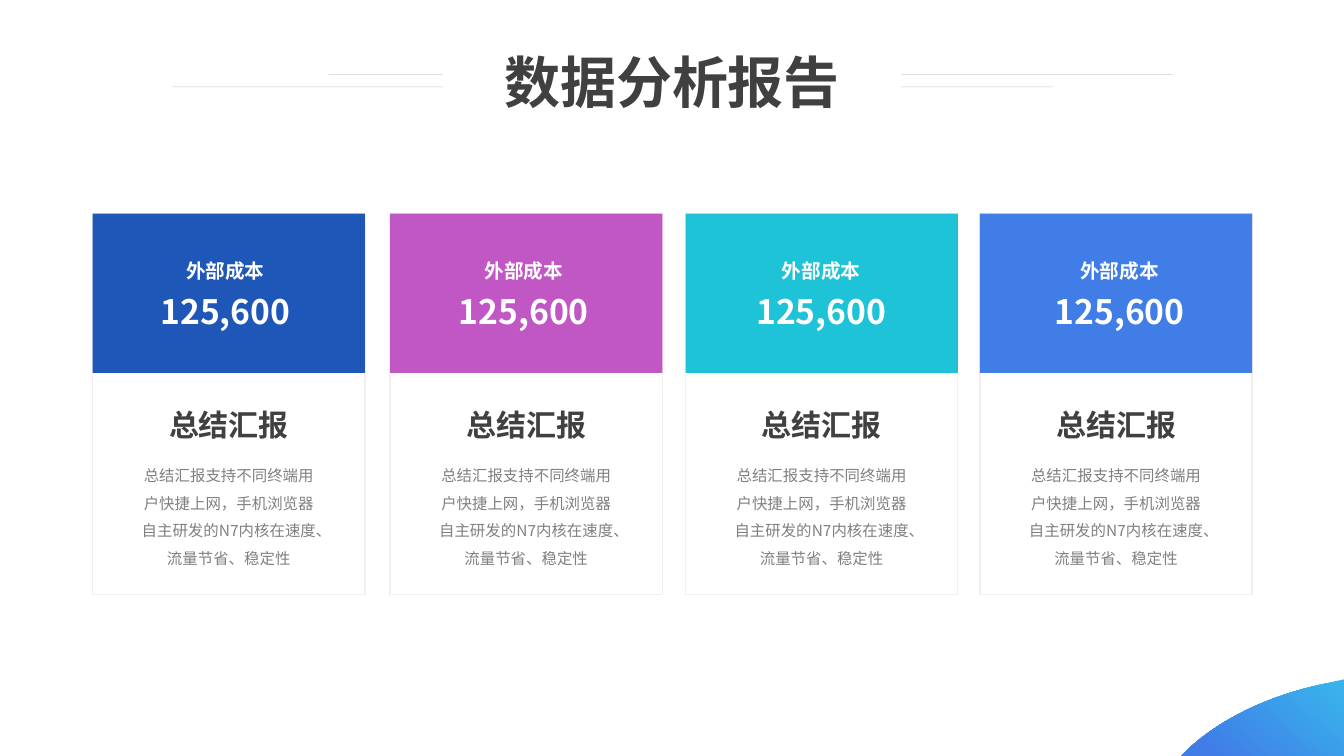
"""Builds a data analysis slide with four cost cards."""
from dataclasses import dataclass, field

from lxml.etree import SubElement
from pptx import Presentation
from pptx.dml.color import RGBColor
from pptx.enum.shapes import MSO_CONNECTOR, MSO_SHAPE
from pptx.enum.text import MSO_AUTO_SIZE as AutoSize, PP_ALIGN
from pptx.oxml.ns import qn
from pptx.slide import Slide
from pptx.util import Inches, Pt

FONT = "Noto Sans CJK SC"
BODY = "总结汇报支持不同终端用户快捷上网，手机浏览器自主研发的N7内核在速度、流量节省、稳定性"


@dataclass
class Label:
    """Text with its place and its format."""
    text: str
    left: float
    top: float
    width: float
    height: float
    size: float
    color: str
    bold: bool = True
    spacing: float = 1.0
    frame: dict = field(default_factory=dict)


@dataclass
class Card:
    """Left edge, header colour and header text centre of a card."""
    left: float
    color: str
    header_center: float


@dataclass
class Rule:
    """Horizontal line beside the heading."""
    start: float
    end: float
    top: float


CARDS = [
    Card(0.92, "1F57B8", 2.23),
    Card(3.87, "C157C5", 5.19),
    Card(6.8, "1EC3D7", 8.14),
    Card(9.72, "407DE7", 11.1),
]
RULES = [
    Rule(4.39, 3.26, 0.74),
    Rule(4.39, 1.71, 0.86),
    Rule(11.63, 8.94, 0.74),
    Rule(10.44, 8.94, 0.86),
]


def rgb(value: str) -> RGBColor:
    """Turn a hex string into a colour."""
    return RGBColor.from_string(value)


def set_format(target: object, values: dict) -> None:
    """Set each attribute named in a dict."""
    for name, value in values.items():
        setattr(target, name, value)


def add_label(slide: Slide, label: Label) -> None:
    """Draw a centred text box."""
    box = slide.shapes.add_textbox(*map(Inches, (label.left, label.top, label.width, label.height)))
    set_format(box.text_frame, {"word_wrap": True, "auto_size": AutoSize.SHAPE_TO_FIT_TEXT, **label.frame})
    paragraph = box.text_frame.paragraphs[0]
    set_format(paragraph, {"alignment": PP_ALIGN.CENTER, "line_spacing": label.spacing})
    run = paragraph.add_run()
    run.text = label.text
    set_format(run.font, {"name": FONT, "size": Pt(label.size), "bold": label.bold})
    run.font.color.rgb = rgb(label.color)
    SubElement(run.font._element, qn("a:ea"), typeface=FONT)


def add_panel(slide: Slide, left: float, height: float, fill: str, line: str = "") -> None:
    """Draw a card rectangle."""
    panel = slide.shapes.add_shape(MSO_SHAPE.RECTANGLE, *map(Inches, (left, 2.12, 2.7, height)))
    panel.shadow.inherit = False
    panel.fill.solid()
    panel.fill.fore_color.rgb = rgb(fill)
    if line:
        panel.line.color.rgb = rgb(line)
        panel.line.width = Pt(1)
    else:
        panel.line.fill.background()


def add_card(slide: Slide, card: Card) -> None:
    """Draw a card with its header and text."""
    add_panel(slide, card.left, 3.78, "FFFFFF", "F3EEF1")
    add_panel(slide, card.left, 1.58, card.color)
    center = card.header_center
    labels = [
        Label("总结汇报", card.left + 0.16, 3.81, 2.38, 0.6, 21.4, "404040", spacing=1.5),
        Label(BODY, card.left + 0.35, 4.48, 2, 1.21, 11, "808080", False, 1.5,
              {"auto_size": AutoSize.TEXT_TO_FIT_SHAPE}),
        Label("125,600", center - 1.03, 2.84, 2.07, 0.5, 24, "FFFFFF"),
        Label("外部成本", center - 0.49, 2.52, 0.99, 0.34, 14, "FFFFFF", frame={"word_wrap": False}),
    ]
    for label in labels:
        add_label(slide, label)


def add_rule(slide: Slide, rule: Rule) -> None:
    """Draw a half transparent line."""
    line = slide.shapes.add_connector(
        MSO_CONNECTOR.STRAIGHT, *map(Inches, (rule.start, rule.top, rule.end, rule.top)))
    line.line.width = Pt(0.5)
    line.line.color.rgb = rgb("BFBFBF")
    color = line._element.spPr.find(".//" + qn("a:srgbClr"))
    SubElement(color, qn("a:alpha"), val="50000")
    SubElement(line._element.spPr, qn("a:effectLst"))


def curve(start: tuple, first: tuple, second: tuple, end: tuple, steps: int = 24) -> list:
    """Return points along a cubic curve."""
    points = []
    for step in range(1, steps + 1):
        t = step / steps
        weights = ((1 - t) ** 3, 3 * t * (1 - t) ** 2, 3 * t * t * (1 - t), t ** 3)
        points.append(tuple(sum(weight * point[axis] for weight, point in
                                zip(weights, (start, first, second, end))) for axis in (0, 1)))
    return points


def add_corner(slide: Slide) -> None:
    """Draw the gradient corner."""
    arc = curve((11.82, 7.4), (12.16, 7.1), (12.64, 6.88), (13.2, 6.77))
    outline = [(13.33, 7.5), (11.72, 7.5), (11.82, 7.4), *arc]
    builder = slide.shapes.build_freeform(Inches(13.33), Inches(6.74))
    builder.add_line_segments([(Inches(x), Inches(y)) for x, y in outline])
    corner = builder.convert_to_shape()
    corner.shadow.inherit = False
    corner.line.fill.background()
    corner.fill.gradient()
    corner.fill.gradient_angle = 230
    for stop, (position, color) in zip(corner.fill.gradient_stops, ((0, "38B6EC"), (0.87, "407DE7"))):
        stop.position = position
        stop.color.rgb = rgb(color)


def main() -> None:
    """Build and save the slide."""
    presentation = Presentation()
    set_format(presentation, {"slide_width": Inches(13.33), "slide_height": Inches(7.5)})
    slide = presentation.slides.add_slide(presentation.slide_layouts[6])
    add_corner(slide)
    for card in CARDS:
        add_card(slide, card)
    add_label(slide, Label("数据分析报告", 4.79, 0.42, 3.75, 0.77, 40, "404040"))
    for rule in RULES:
        add_rule(slide, rule)
    presentation.save("out.pptx")


if __name__ == "__main__":
    main()
